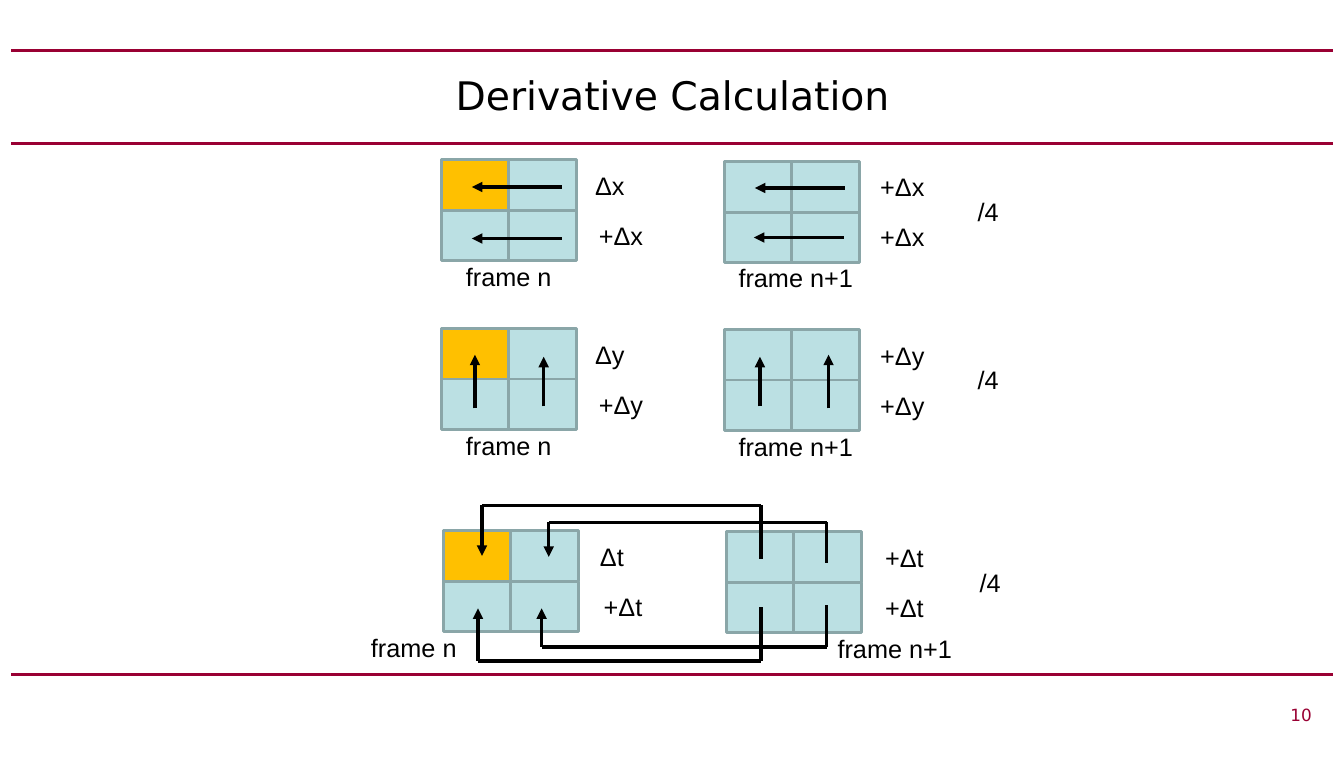
import itertools
import pptx
import pptx.util
import pptx.dml.color
import pptx.enum.shapes
import pptx.enum.text
import pptx.oxml
import pptx.oxml.ns

Inches = pptx.util.Inches
Pt = pptx.util.Pt
align = pptx.enum.text.PP_ALIGN
anchor = pptx.enum.text.MSO_ANCHOR


class Theme:
    ink = pptx.dml.color.RGBColor.from_string("000000")
    rule = pptx.dml.color.RGBColor.from_string("990033")
    pale = pptx.dml.color.RGBColor.from_string("BBE0E3")
    gold = pptx.dml.color.RGBColor.from_string("FFC000")
    edge = pptx.dml.color.RGBColor.from_string("8AA6A8")
    head = "DejaVu Sans"
    body = "Arial"
    large = 28
    main = 18
    small = 12


deck = pptx.Presentation()
deck.slide_width = Inches(13.3)
deck.slide_height = Inches(7.5)
slide = deck.slides.add_slide(deck.slide_layouts[5])
shapes = slide.shapes


def write(text, at, box=None, size=Theme.main, font=Theme.body,
          color=Theme.ink, side=align.CENTER, hold=anchor.TOP):
    if box is None:
        box = shapes.add_textbox(0, 0, 0, 0)
    box.left, box.top, box.width, box.height = map(Inches, at)
    frame = box.text_frame
    frame.word_wrap = True
    frame.vertical_anchor = hold
    frame.text = text
    par = frame.paragraphs[0]
    par.alignment = side
    par.font.size = Pt(size)
    par.font.name = font
    par.font.color.rgb = color


def draw(start, end, color=Theme.ink, width=2.5, arrow=False):
    line = shapes.add_connector(pptx.enum.shapes.MSO_CONNECTOR.STRAIGHT,
                                *map(Inches, start + end))
    line.line.color.rgb = color
    line.line.width = Pt(width)
    props = line.element.spPr
    if arrow:
        tip = pptx.oxml.parse_xml(
            f'<a:tailEnd {pptx.oxml.ns.nsdecls("a")} type="triangle"/>')
        props.find(pptx.oxml.ns.qn("a:ln")).append(tip)
    props.append(pptx.oxml.parse_xml(
        f'<a:effectLst {pptx.oxml.ns.nsdecls("a")}/>'))


for y in (0.5, 1.42, 6.67):
    draw((0.11, y), (13.19, y), color=Theme.rule, width=2.25)

write("Derivative Calculation", (0.67, 0.5, 11.97, 0.87), box=shapes.title,
      size=Theme.large, font=Theme.head, hold=anchor.MIDDLE)
write("10", (3.77, 6.92, 9.31, 0.33), size=Theme.small, font=Theme.head,
      color=Theme.rule, side=align.RIGHT)

rows = [
    ("Δx", 1.58, 0, 0.02, 4.23, 6.92),
    ("Δy", 3.25, 0, 0.01, 4.23, 6.92),
    ("Δt", 5.25, 0.02, 0.01, 3.29, 7.9),
]
for sign, top, shift, drop, near, far in rows:
    for left, y in ((4.37, top), (7.17, top + drop)):
        for col, row in itertools.product(range(2), range(2)):
            cell = shapes.add_shape(
                pptx.enum.shapes.MSO_SHAPE.RECTANGLE,
                Inches(left + shift + col * 0.665), Inches(y + row * 0.5),
                Inches(0.67), Inches(0.5))
            first = left == 4.37 and col == row == 0
            cell.shadow.inherit = False
            cell.fill.solid()
            cell.fill.fore_color.rgb = Theme.gold if first else Theme.pale
            cell.line.color.rgb = Theme.edge
            cell.line.width = Pt(2)

    write(sign, (5.7 + shift, top + 0.06, 0.67, 0.4))
    write("+" + sign, (5.7 + shift, top + 0.55, 0.89, 0.4))
    for step in (0.07, 0.56):
        write("+" + sign, (8.5 + shift, top + step, 0.86, 0.4))
    write("/4", (9.31 + shift, top + 0.31, 0.94, 0.4))
    write("frame n", (near, top + 0.96, 1.61, 0.4))
    write("frame n+1", (far, top + 0.97, 1.91, 0.4))

paths = [
    [(5.56, 1.85), (4.67, 1.85)],
    [(5.56, 2.36), (4.67, 2.36)],
    [(8.36, 1.86), (7.47, 1.86)],
    [(8.35, 2.35), (7.46, 2.35)],
    [(4.7, 4.04), (4.7, 3.51)],
    [(5.38, 4.02), (5.38, 3.53)],
    [(7.52, 4.02), (7.52, 3.53)],
    [(8.2, 4.04), (8.2, 3.51)],
    [(7.53, 5.53), (7.53, 5), (4.77, 5), (4.77, 5.5)],
    [(8.18, 5.57), (8.18, 5.17), (5.43, 5.17), (5.43, 5.51)],
    [(7.53, 6.01), (7.53, 6.54), (4.73, 6.54), (4.73, 6.02)],
    [(8.18, 5.99), (8.18, 6.4), (5.36, 6.4), (5.36, 6.02)],
]
for path in paths:
    for start, end in zip(path, path[1:]):
        draw(start, end, arrow=end == path[-1])

deck.save("out.pptx")
